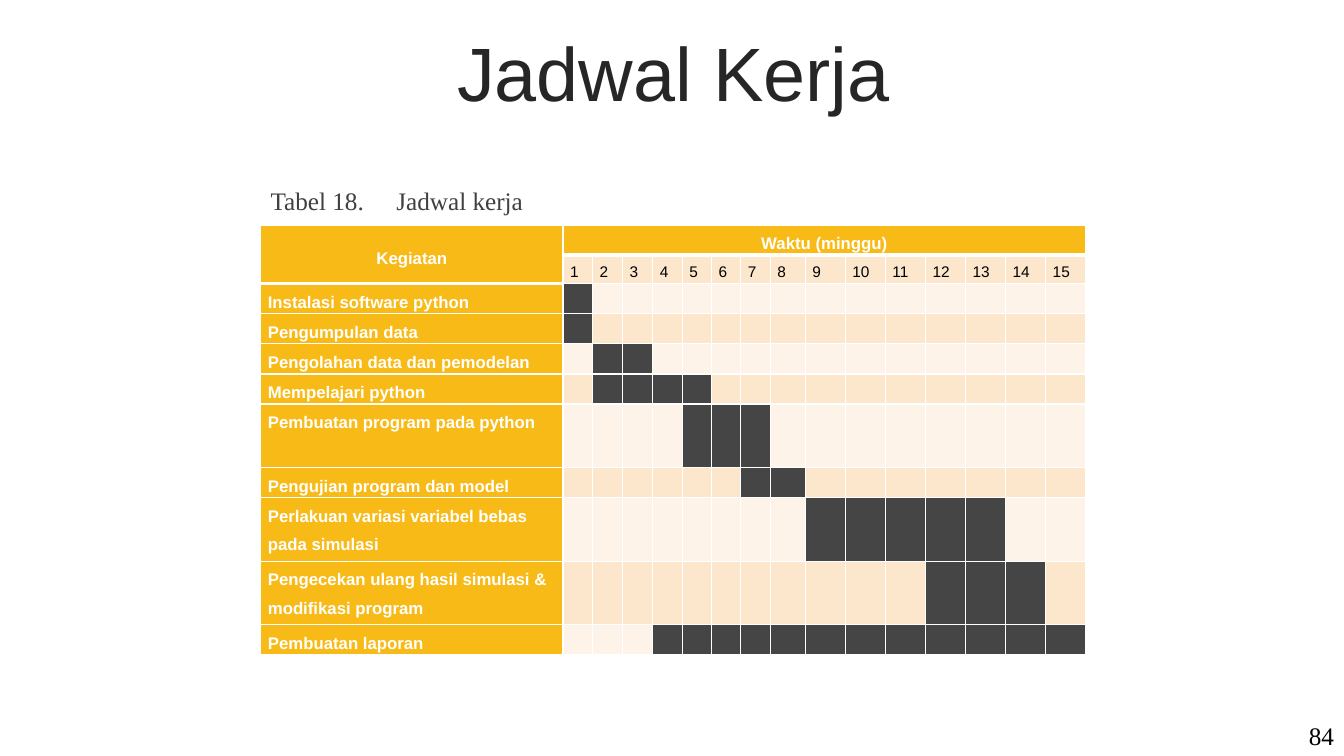
"""Build the work schedule slide: a title and a fifteen-week Gantt table."""
from dataclasses import dataclass

from lxml.etree import SubElement
from pptx import Presentation
from pptx.dml.color import RGBColor
from pptx.enum.text import MSO_ANCHOR, MSO_AUTO_SIZE, PP_ALIGN
from pptx.oxml.ns import qn
from pptx.util import Cm, Pt

SANS, SERIF = "Arial", "Times New Roman"
WHITE, BLACK, GOLD, BUSY = "FFFFFF", "000000", "F8BA16", "454545"
BANDS = ("FEF3E8", "FCE7CC")
LABEL_WIDTH = 7.62
WEEK_WIDTHS = [0.74, 0.76, 0.76] + [0.74] * 4 + [0.88] + [1.01] * 7
HEADER_HEIGHTS = [0.76, 0.69]
SINGLE, DOUBLE = 0.76, 1.6
WEEKS = len(WEEK_WIDTHS)


@dataclass(frozen=True)
class Activity:
    """An activity with its first and last week."""
    name: str
    first: int
    last: int
    height: float = SINGLE


@dataclass(frozen=True)
class TextStyle:
    """The look of a paragraph."""
    size: float
    colour: str
    font: str = SANS
    bold: bool = False
    align: PP_ALIGN = PP_ALIGN.LEFT
    spacing: float = 1.0


ACTIVITIES = [
    Activity("Instalasi software python", 1, 1),
    Activity("Pengumpulan data", 1, 1),
    Activity("Pengolahan data dan pemodelan", 2, 3),
    Activity("Mempelajari python", 2, 5),
    Activity("Pembuatan program pada python", 5, 7, DOUBLE),
    Activity("Pengujian program dan model", 7, 8),
    Activity("Perlakuan variasi variabel bebas pada simulasi", 9, 13, DOUBLE),
    Activity("Pengecekan ulang hasil simulasi & modifikasi program", 12, 14, DOUBLE),
    Activity("Pembuatan laporan", 4, 15),
]
TITLE = TextStyle(54, "262626", align=PP_ALIGN.CENTER, spacing=0.9)
CAPTION = TextStyle(18, "404040", SERIF)
PAGE_NUMBER = TextStyle(18, BLACK, SERIF, align=PP_ALIGN.RIGHT)
HEADING = TextStyle(12, WHITE, bold=True, align=PP_ALIGN.CENTER, spacing=1.5)
LABEL = TextStyle(12, WHITE, bold=True, spacing=1.5)
WEEK = TextStyle(11, BLACK, spacing=1.5)


def colour(code: str) -> RGBColor:
    """Turn a hex string into a colour."""
    return RGBColor.from_string(code)


def write(frame, text: str, style: TextStyle):
    """Fill a text frame with one styled paragraph and return it."""
    para = frame.paragraphs[0]
    para.text = text
    para.alignment = style.align
    para.line_spacing = style.spacing
    para.font.name = style.font
    para.font.size = Pt(style.size)
    para.font.bold = style.bold
    para.font.color.rgb = colour(style.colour)
    return para


def add_text(page, left: float, top: float, width: float, text: str, style: TextStyle):
    """Add a one-line text box and return its paragraph."""
    frame = page.shapes.add_textbox(Cm(left), Cm(top), Cm(width), Cm(1.02)).text_frame
    frame.word_wrap = True
    frame.vertical_anchor = MSO_ANCHOR.MIDDLE
    return write(frame, text, style)


def set_borders(cell, top: float, bottom: float) -> None:
    """Draw white borders around a cell."""
    properties = cell._tc.get_or_add_tcPr()
    for edge, width in (("L", 1), ("R", 1), ("T", top), ("B", bottom)):
        line = SubElement(properties, qn(f"a:ln{edge}"), w=str(Pt(width)))
        SubElement(SubElement(line, qn("a:solidFill")), qn("a:srgbClr"), val=WHITE)


def format_cell(cell, row: int, column: int, fill: str, text: str, style: TextStyle) -> None:
    """Give a cell its borders, margins, fill and text."""
    heavy_above = row == 1 or (row == 2 and column == 0)
    heavy_below = row == 0 or (row == 1 and column == 0)
    set_borders(cell, 3 if heavy_above else 1, 3 if heavy_below else 1)
    cell.margin_left = cell.margin_right = Cm(0.18)
    cell.margin_top = cell.margin_bottom = 0
    cell.fill.solid()
    cell.fill.fore_color.rgb = colour(fill)
    write(cell.text_frame, text, style)


def add_schedule(page) -> None:
    """Add the Gantt table."""
    widths = [LABEL_WIDTH] + WEEK_WIDTHS
    heights = HEADER_HEIGHTS + [activity.height for activity in ACTIVITIES]
    table = page.shapes.add_table(len(heights), len(widths), Cm(6.57), Cm(5.67),
                                  Cm(sum(widths)), Cm(sum(heights))).table
    table.first_row = table.horz_banding = False
    for column, width in zip(table.columns, widths):
        column.width = Cm(width)
    for row, height in zip(table.rows, heights):
        row.height = Cm(height)

    table.cell(0, 0).merge(table.cell(1, 0))
    table.cell(0, 1).merge(table.cell(0, WEEKS))
    headings = {0: "Kegiatan", 1: "Waktu (minggu)"}
    for column in range(WEEKS + 1):
        format_cell(table.cell(0, column), 0, column, GOLD, headings.get(column, ""), HEADING)
        number, fill = (str(column), BANDS[1]) if column else ("", GOLD)
        format_cell(table.cell(1, column), 1, column, fill, number, WEEK)
    table.cell(0, 0).vertical_anchor = MSO_ANCHOR.MIDDLE

    for row, activity in enumerate(ACTIVITIES, start=len(HEADER_HEIGHTS)):
        format_cell(table.cell(row, 0), row, 0, GOLD, activity.name, LABEL)
        for week in range(1, WEEKS + 1):
            busy = activity.first <= week <= activity.last
            format_cell(table.cell(row, week), row, week, BUSY if busy else BANDS[row % 2], "", WEEK)


def main() -> None:
    """Build and save the deck."""
    deck = Presentation()
    deck.slide_width, deck.slide_height = Cm(33.87), Cm(19.05)
    page = deck.slides.add_slide(deck.slide_layouts[5])

    title = page.shapes.title
    title.left, title.top, title.width, title.height = Cm(0.89), Cm(0.94), Cm(32.16), Cm(2.01)
    title.text_frame.auto_size = MSO_AUTO_SIZE.NONE
    title.text_frame.vertical_anchor = MSO_ANCHOR.MIDDLE
    write(title.text_frame, "Jadwal Kerja", TITLE)

    add_schedule(page)
    caption = add_text(page, 6.57, 4.55, 11.38, "Tabel 18. \tJadwal kerja", CAPTION)
    indents = caption._p.get_or_add_pPr()
    indents.set("marL", str(Cm(1.9)))
    indents.set("indent", str(-Cm(1.9)))
    add_text(page, 32.05, 18.03, 1.82, "84", PAGE_NUMBER)
    deck.save("out.pptx")


if __name__ == "__main__":
    main()
